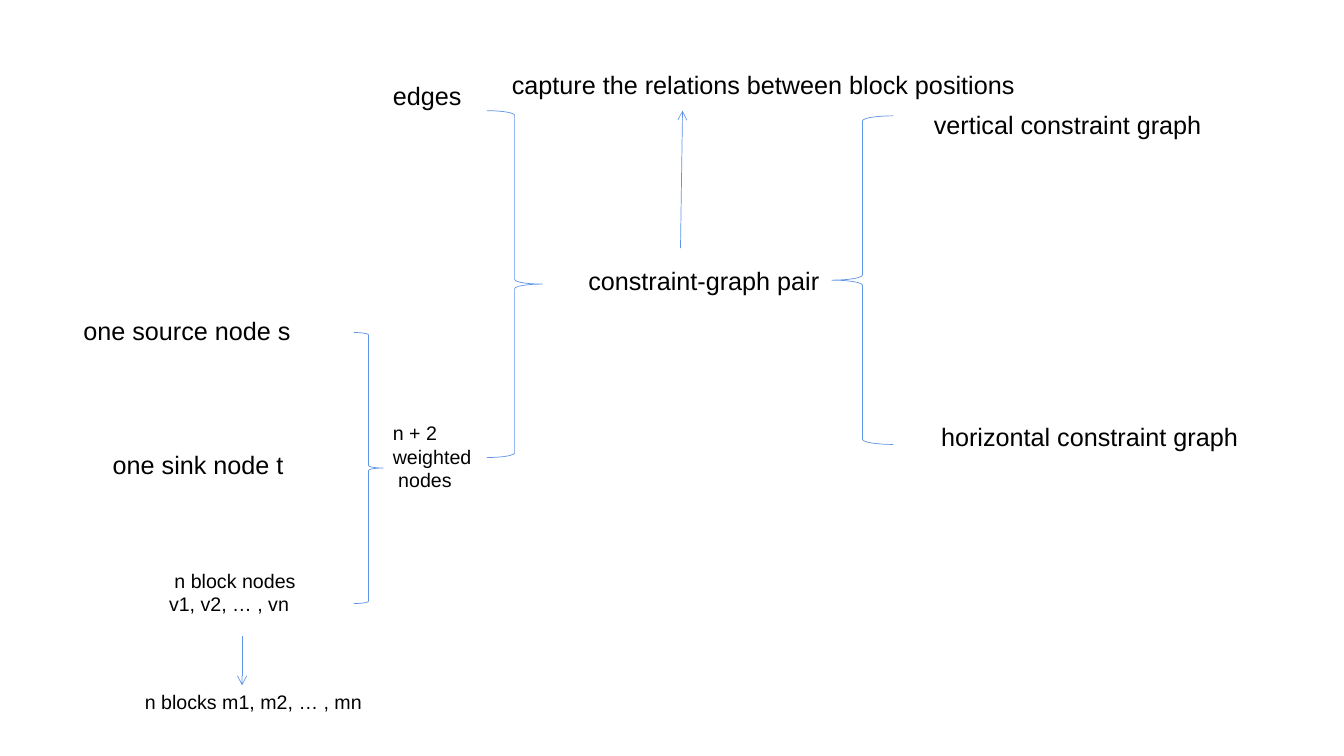
from dataclasses import dataclass

from lxml import etree
from pptx import Presentation
from pptx.dml.color import RGBColor
from pptx.enum.shapes import MSO_CONNECTOR, MSO_SHAPE
from pptx.enum.text import MSO_AUTO_SIZE
from pptx.oxml.ns import qn
from pptx.util import Cm, Pt

LEFT = MSO_SHAPE.LEFT_BRACE
RIGHT = MSO_SHAPE.RIGHT_BRACE
STRAIGHT = MSO_CONNECTOR.STRAIGHT
GROW = MSO_AUTO_SIZE.SHAPE_TO_FIT_TEXT


@dataclass(frozen=True)
class Theme:
    font: str = "Arial"
    ink: RGBColor = RGBColor(0x00, 0x00, 0x00)
    line: RGBColor = RGBColor(0x60, 0x96, 0xE6)
    large: Pt = Pt(18)
    small: Pt = Pt(14)
    width: Pt = Pt(0.5)


THEME = Theme()


def label(slide, text, x, y, w, h=1.02, size=THEME.large):
    box = slide.shapes.add_textbox(Cm(x), Cm(y), Cm(w), Cm(h))
    frame = box.text_frame
    frame.word_wrap = True
    frame.auto_size = GROW
    frame.text = text
    for para in frame.paragraphs:
        for run in para.runs:
            run.font.name = THEME.font
            run.font.size = size
            run.font.color.rgb = THEME.ink


def stroke(line):
    line.color.rgb = THEME.line
    line.width = THEME.width


def brace(slide, kind, x, y, w, h):
    shape = slide.shapes.add_shape(kind, Cm(x), Cm(y), Cm(w), Cm(h))
    shape.shadow.inherit = False
    shape.fill.background()
    stroke(shape.line)


def arrow(slide, x1, y1, x2, y2):
    link = slide.shapes.add_connector(STRAIGHT, Cm(x1), Cm(y1), Cm(x2), Cm(y2))
    stroke(link.line)
    props = link._element.spPr
    etree.SubElement(props.find(qn("a:ln")), qn("a:tailEnd"), type="arrow")
    etree.SubElement(props, qn("a:effectLst"))


def main():
    deck = Presentation()
    deck.slide_width = Cm(33.87)
    deck.slide_height = Cm(19.05)
    slide = deck.slides.add_slide(deck.slide_layouts[6])

    label(slide, " constraint-graph pair", 14.4, 6.55, 6.73)
    arrow(slide, 17.15, 6.25, 17.2, 2.79)
    label(slide, "capture the relations between block positions", 12.65, 1.63, 13.74)

    brace(slide, LEFT, 20.96, 2.92, 1.55, 8.28)
    label(slide, " vertical constraint graph", 23.11, 2.64, 10.57)
    label(slide, " horizontal constraint graph", 23.29, 10.49, 9.53)

    brace(slide, RIGHT, 12.27, 2.79, 1.4, 8.74)
    label(slide, "edges", 9.65, 1.91, 7.06)
    label(slide, "n + 2\nweighted\n nodes", 9.65, 10.49, 8.38, 2.06, THEME.small)

    brace(slide, RIGHT, 8.92, 8.38, 0.74, 6.83)
    label(slide, "one source node s", 1.85, 7.82, 7.06)
    label(slide, "one sink node t", 2.59, 11.2, 7.06)
    label(slide, " n block nodes\nv1, v2, … , vn", 4.01, 14.2, 10.06, 1.45, THEME.small)
    arrow(slide, 6.1, 16.03, 6.1, 17.27)
    label(slide, "n blocks m1, m2, … , mn", 3.4, 17.27, 6.22, 0.86, THEME.small)

    deck.save("out.pptx")


if __name__ == "__main__":
    main()
